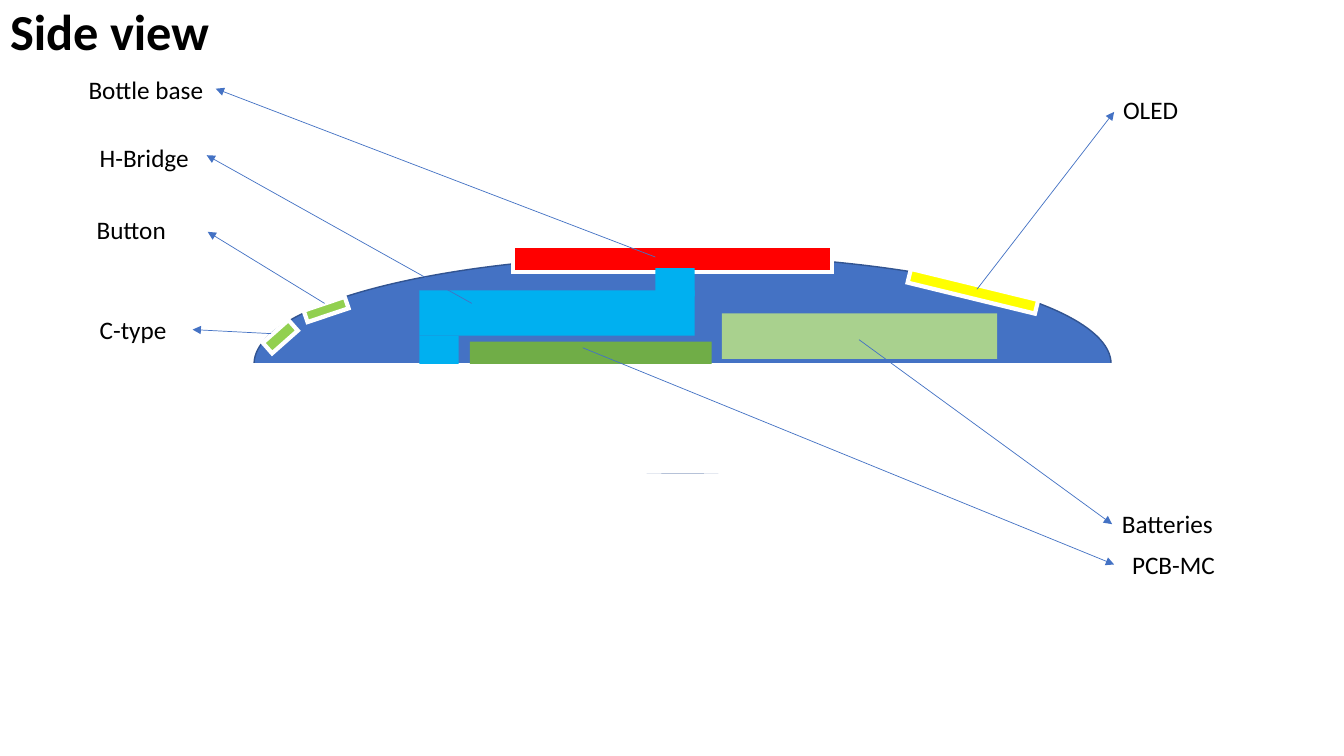
from lxml import etree
from pptx import Presentation
from pptx.dml.color import RGBColor
from pptx.enum.shapes import MSO_CONNECTOR, MSO_SHAPE
from pptx.enum.text import MSO_ANCHOR, MSO_AUTO_SIZE, PP_ALIGN
from pptx.oxml.ns import qn
from pptx.util import Inches, Pt

RECT, OVAL = MSO_SHAPE.RECTANGLE, MSO_SHAPE.OVAL
STRAIGHT = MSO_CONNECTOR.STRAIGHT
TOP, LEFT = MSO_ANCHOR.TOP, PP_ALIGN.LEFT
NO_FIT = MSO_AUTO_SIZE.NONE
FONT = "Calibri"

COLORS = {
    "body": "4472C4", "outline": "325491", "white": "FFFFFF", "text": "000000",
    "base": "FF0000", "oled": "FFFF00", "bridge": "00B0F0",
    "battery": "A9D18E", "button": "92D050", "pcb": "70AD47",
}

TITLE = ("Side view", (0, -0.05, 2.37, 0.71))

# Shape, (left, top, width, height), rotation, fill, line colour, line points
PARTS = [
    (OVAL, (2.52, 2.53, 8.5, 2.16), 0, "body", "outline", 1),
    (RECT, (2.52, 3.61, 8.5, 1.08), 0, "white", "white", 1),
    (RECT, (5.09, 2.44, 3.16, 0.26), 0, "base", "white", 3),
    (RECT, (9, 2.82, 1.3, 0.14), 13.7, "oled", "white", 3),
    (RECT, (4.16, 2.88, 2.73, 0.45), 0, "bridge", None, 0),
    (RECT, (4.16, 3.33, 0.39, 0.28), 0, "bridge", None, 0),
    (RECT, (6.5, 2.66, 0.39, 0.28), 0, "bridge", None, 0),
    (RECT, (7.16, 3.11, 2.73, 0.45), 0, "battery", None, 0),
    (RECT, (3.02, 3.01, 0.43, 0.12), 341.4, "button", "white", 3),
    (RECT, (2.61, 3.27, 0.34, 0.14), 318.5, "button", "white", 3),
    (RECT, (4.66, 3.39, 2.4, 0.22), 0, "pcb", None, 0),
]

# Label, (left, top, width), arrow start on the part, arrow tip at the label
CALLOUTS = [
    ("Bottle base", (0.78, 0.69, 1.5), (6.5, 2.55), (2.14, 0.88)),
    ("H-Bridge", (0.89, 1.36, 1.5), (4.68, 3.01), (2.05, 1.54)),
    ("Button", (0.86, 2.08, 1.5), (3.22, 3.01), (2.06, 2.3)),
    ("C-type", (0.89, 3.07, 1.5), (2.69, 3.31), (1.91, 3.27)),
    ("OLED", (11.04, 0.89, 0.97), (9.69, 2.87), (11.05, 1.11)),
    ("Batteries", (11.03, 4.99, 1.2), (8.52, 3.37), (11.03, 5.2)),
    ("PCB-MC", (11.13, 5.4, 1.2), (5.78, 3.45), (11.05, 5.6)),
]
LABEL_HEIGHT = 0.4


def rgb(name):
    return RGBColor.from_string(COLORS[name])


def inches(values):
    return [Inches(v) for v in values]


def write(sp, text, size, bold=False):
    tf = sp.text_frame
    tf.text = text
    tf.word_wrap = True
    tf.auto_size = NO_FIT
    tf.vertical_anchor = TOP
    p = tf.paragraphs[0]
    p.alignment = LEFT
    p.line_spacing = 1.0
    p.font.name = FONT
    p.font.size = Pt(size)
    p.font.bold = bold
    p.font.color.rgb = rgb("text")


def add_part(slide, kind, box, rotation, fill, line, points):
    sp = slide.shapes.add_shape(kind, *inches(box))
    sp.shadow.inherit = False
    sp.rotation = rotation
    sp.fill.solid()
    sp.fill.fore_color.rgb = rgb(fill)
    if line is None:
        sp.line.fill.background()
        return
    sp.line.color.rgb = rgb(line)
    sp.line.width = Pt(points)
    # Square corners on the outline
    ln = sp.element.spPr.get_or_add_ln()
    etree.SubElement(ln, qn("a:miter")).set("lim", "800000")


def add_arrow(slide, start, tip):
    line = slide.shapes.add_connector(STRAIGHT, *inches(start + tip))
    line.line.color.rgb = rgb("body")
    line.line.width = Pt(0.5)
    spPr = line.element.spPr
    etree.SubElement(spPr.get_or_add_ln(), qn("a:tailEnd")).set("type", "triangle")
    etree.SubElement(spPr, qn("a:effectLst"))


def main():
    prs = Presentation()
    prs.slide_width, prs.slide_height = Inches(13.33), Inches(7.5)
    slide = prs.slides.add_slide(prs.slide_layouts[5])

    # Title
    text, box = TITLE
    title = slide.shapes.title
    title.left, title.top, title.width, title.height = inches(box)
    write(title, text, 36, bold=True)

    # Cross-section of the device
    for part in PARTS:
        add_part(slide, *part)

    # Labels and their arrows
    for label, place, start, tip in CALLOUTS:
        add_arrow(slide, start, tip)
        sp = slide.shapes.add_textbox(*inches(place + (LABEL_HEIGHT,)))
        write(sp, label, 18)

    prs.save("out.pptx")


if __name__ == "__main__":
    main()
